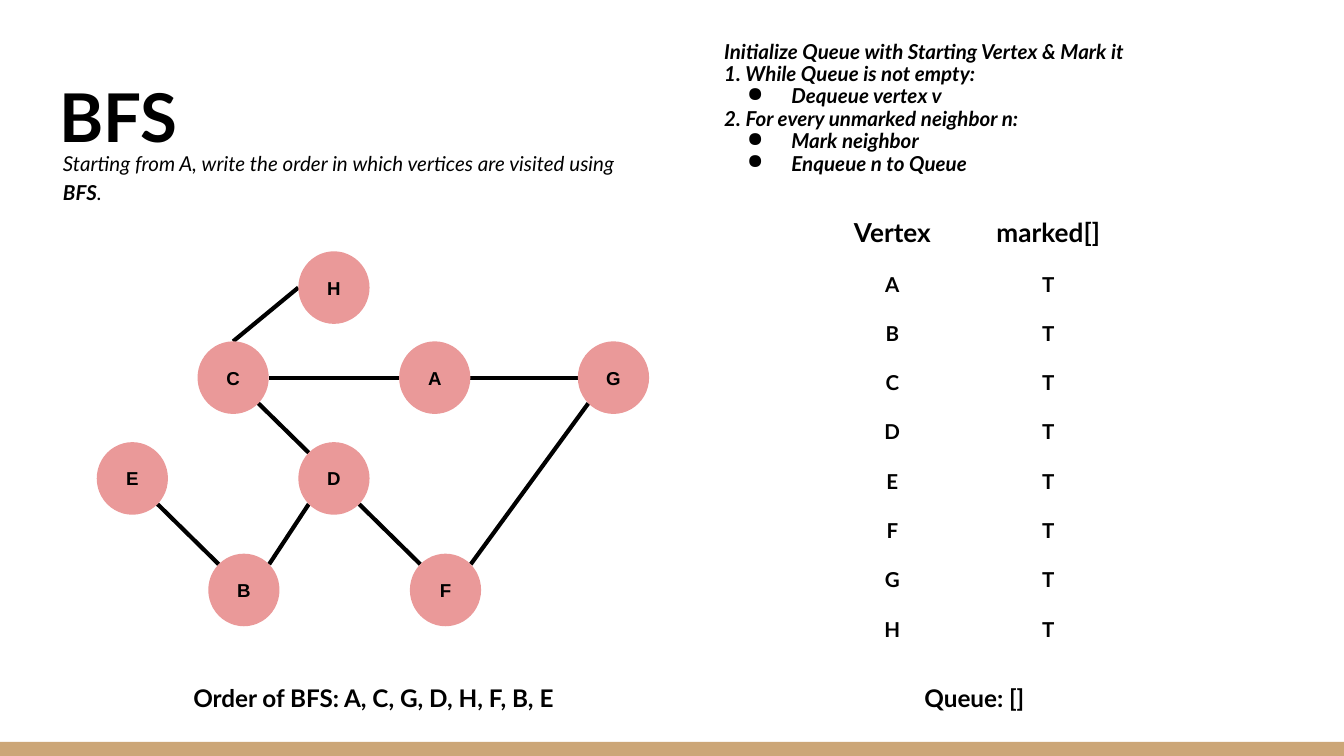
from dataclasses import dataclass
from math import sqrt

from lxml import etree
from pptx import Presentation
from pptx.dml.color import RGBColor
from pptx.enum import shapes, text
from pptx.oxml.ns import qn
from pptx.util import Inches, Pt

LEFT, CENTER = text.PP_ALIGN.LEFT, text.PP_ALIGN.CENTER


@dataclass(frozen=True)
class Theme:
    ink: str = "000000"
    node: str = "EA9999"
    band: str = "CCA677"
    font: str = "Lato"
    node_font: str = "Arial"
    title: float = 36
    heading: float = 14
    result: float = 13
    body: float = 11
    label: float = 10
    edge: float = 2.25
    spacing: float = 1.15


def rgb(value):
    return RGBColor.from_string(value)


class SlideBuilder:
    def __init__(self, s, theme):
        self.s = s
        self.theme = theme

    def frame(self, sp, anchor):
        tf = sp.text_frame
        tf.word_wrap = True
        tf.auto_size = text.MSO_AUTO_SIZE.NONE
        tf.vertical_anchor = anchor
        tf.margin_left = tf.margin_right = Inches(0.1)
        tf.margin_top = tf.margin_bottom = Inches(0.1)
        return tf

    def style(self, p, size, bold=True, italic=False, align=LEFT, font=None):
        p.alignment = align
        f = p.font
        f.name, f.size = font or self.theme.font, Pt(size)
        f.bold, f.italic = bold, italic
        f.color.rgb = rgb(self.theme.ink)

    def title(self, words, x, y, w, h):
        sp = self.s.shapes.title
        sp.left, sp.top, sp.width, sp.height = map(Inches, (x, y, w, h))
        tf = self.frame(sp, text.MSO_ANCHOR.BOTTOM)
        tf.text = words
        self.style(tf.paragraphs[0], self.theme.title)

    def text(self, lines, x, y, w, h, size, spacing=None, gap=0, **look):
        """Add a text box with one paragraph per line, gap points apart."""
        sp = self.s.shapes.add_textbox(*map(Inches, (x, y, w, h)))
        tf = self.frame(sp, text.MSO_ANCHOR.TOP)
        tf.text = "\n".join(lines)
        for i, p in enumerate(tf.paragraphs):
            self.style(p, size, **look)
            p.space_before = Pt(gap if i else 0)
            if spacing:
                p.line_spacing = spacing
        return tf

    def bullet(self, p):
        pPr = p._p.get_or_add_pPr()
        pPr.set("marL", str(Inches(0.5)))
        pPr.set("indent", str(-Inches(0.33)))
        mark = etree.Element(qn("a:buChar"), char="●")
        pPr.insert_element_before(mark, "a:tabLst", "a:defRPr", "a:extLst")

    def shape(self, kind, x, y, w, h, color):
        sp = self.s.shapes.add_shape(kind, *map(Inches, (x, y, w, h)))
        sp.shadow.inherit = False
        sp.fill.solid()
        sp.fill.fore_color.rgb = rgb(color)
        sp.line.fill.background()
        return sp

    def node(self, name, x, y, w, h):
        sp = self.shape(shapes.MSO_SHAPE.OVAL, x, y, w, h, self.theme.node)
        tf = self.frame(sp, text.MSO_ANCHOR.MIDDLE)
        tf.text = name
        self.style(tf.paragraphs[0], self.theme.label, align=CENTER,
                   font=self.theme.node_font)

    def edge(self, start, end):
        c = self.s.shapes.add_connector(shapes.MSO_CONNECTOR.STRAIGHT,
                                        *map(Inches, start + end))
        c.line.color.rgb = rgb(self.theme.ink)
        c.line.width = Pt(self.theme.edge)
        etree.SubElement(c._element.spPr, qn("a:effectLst"))


NODE_W, NODE_H = 0.53, 0.54
NODES = {"H": (2.22, 1.87), "C": (1.47, 2.54), "E": (0.72, 3.29),
         "D": (2.22, 3.29), "A": (2.97, 2.54), "F": (3.05, 4.12),
         "B": (1.55, 4.12), "G": (4.3, 2.54)}
# Each end is a vertex and the compass point where the edge meets its circle.
EDGES = [("F", "NW", "D", "SE"), ("D", "NW", "C", "SE"),
         ("G", "SW", "F", "NE"), ("H", "W", "C", "N"),
         ("A", "W", "C", "E"), ("G", "W", "A", "E"),
         ("D", "SW", "B", "NE"), ("E", "SE", "B", "NW")]
STEPS = [("Initialize Queue with Starting Vertex & Mark it", False),
         ("1. While Queue is not empty:", False),
         ("Dequeue vertex v", True),
         ("2. For every unmarked neighbor n:", False),
         ("Mark neighbor", True),
         ("Enqueue n to Queue", True)]


def rim(name, side):
    """Point on a vertex's circle in the given compass direction."""
    x, y = NODES[name]
    dx = ("E" in side) - ("W" in side)
    dy = ("S" in side) - ("N" in side)
    reach = sqrt(dx * dx + dy * dy) * 2
    return (x + NODE_W / 2 + dx * NODE_W / reach,
            y + NODE_H / 2 + dy * NODE_H / reach)


def main():
    prs = Presentation()
    prs.slide_width, prs.slide_height = Inches(10), Inches(5.625)
    theme = Theme()
    b = SlideBuilder(prs.slides.add_slide(prs.slide_layouts[5]), theme)

    b.shape(shapes.MSO_SHAPE.RECTANGLE, 0, 5.52, 10, 0.11, theme.band)
    b.title("BFS", 0.34, 0.35, 9.32, 0.91)

    tf = b.text(["Starting from A, write the order in which vertices are visited using "],
                0.37, 1, 4.55, 0.34, theme.body, theme.spacing,
                bold=False, italic=True)
    for words, bold in (("BFS", True), (".", False)):
        r = tf.paragraphs[0].add_run()
        r.text, r.font.bold = words, bold

    for i, (words, bulleted) in enumerate(STEPS):
        tf = b.text([words], 5.29, 0.16 + i * 0.167, 4.55, 0.34, theme.body,
                    theme.spacing, italic=True)
        if bulleted:
            b.bullet(tf.paragraphs[0])

    for start, start_side, end, end_side in EDGES:
        b.edge(rim(start, start_side), rim(end, end_side))
    for name, (x, y) in NODES.items():
        b.node(name, x, y, NODE_W, NODE_H)

    vertices = sorted(NODES)
    columns = [("Vertex", vertices, 6.64), ("marked[]", ["T"] * len(vertices), 7.8)]
    for heading, values, middle in columns:
        b.text([heading], middle - 0.52, 1.51, 1.04, 0.44, theme.heading, align=CENTER)
        b.text(values, middle - 0.73, 1.92, 1.46, 2.98, theme.body,
               gap=13.2, align=CENTER)

    for words, x, align in (("Order of BFS: A, C, G, D, H, F, B, E", 1.34, LEFT),
                            ("Queue: []", 5.67, CENTER)):
        b.text([words], x, 4.95, 3.16, 0.58, theme.result, theme.spacing, align=align)

    prs.save("out.pptx")


if __name__ == "__main__":
    main()
